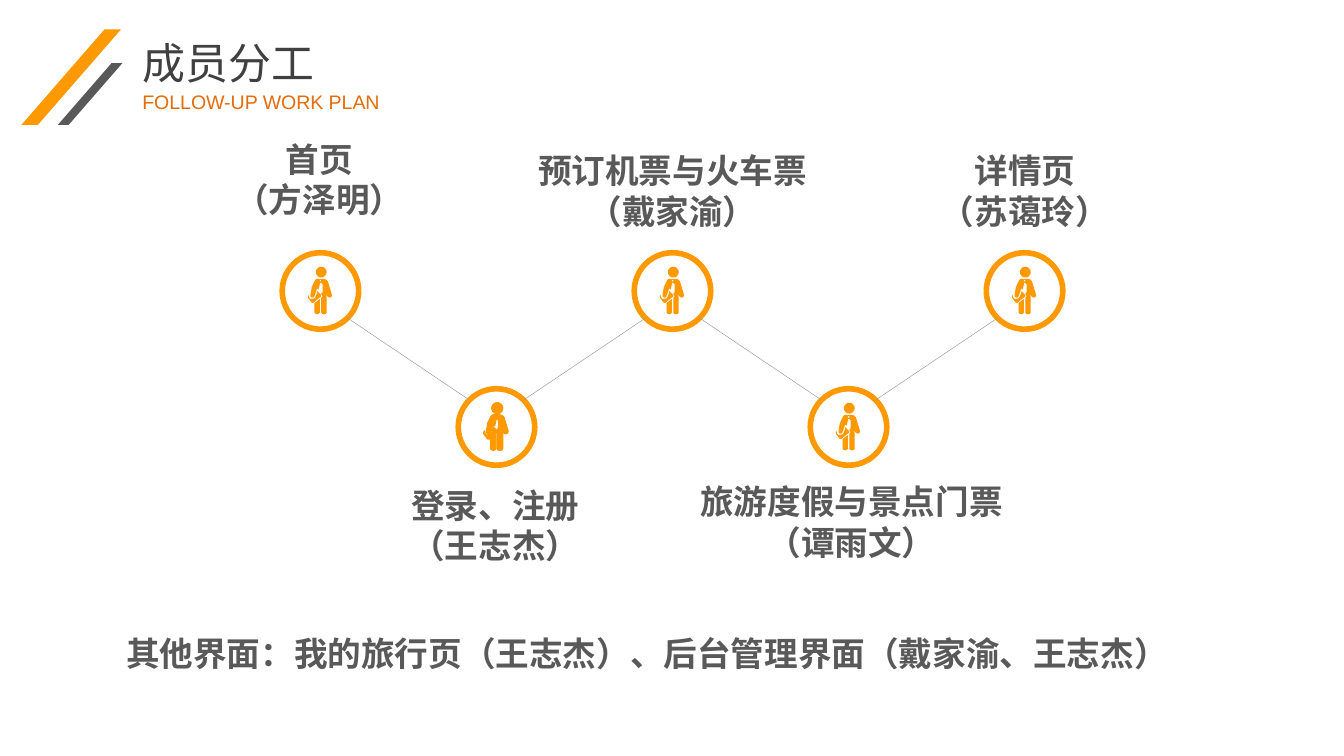
"""Build the team assignment slide with a zigzag of member icons."""
from math import cos, pi, sin

from lxml.etree import SubElement
from pptx import Presentation
from pptx.dml.color import RGBColor
from pptx.enum.shapes import MSO_CONNECTOR, MSO_SHAPE
from pptx.enum.text import MSO_ANCHOR, MSO_AUTO_SIZE, PP_ALIGN
from pptx.oxml.ns import qn
from pptx.util import Pt

COLORS = {"orange": "FF9900", "subtitle": "E46C0A", "title": "404040",
          "gray": "595959", "line": "999999", "white": "FFFFFF"}
TITLE, SUBTITLE = "成员分工", "FOLLOW-UP WORK PLAN"
HEADING_FONT, LABEL_FONT = "Arial", "TeX Gyre Adventor"
STRIPES = [((11.5, 15.8, 53.3, 51.1), "orange"), ((31, 33.8, 34.6, 33.1), "gray")]
MEMBERS = [
    (["首页", "（方泽明）"], (108, 70.6, 126, 51)),
    (["登录、注册", "（王志杰）"], (202.3, 256.3, 126, 51)),
    (["预订机票与火车票", "（戴家渝）"], (274.3, 77, 172, 51)),
    (["旅游度假与景点门票（谭雨文）"], (367.2, 254.2, 178, 51)),
    (["详情页", "（苏蔼玲）"], (486, 77, 126, 51)),
]
OTHER_PAGES = ["其他界面：我的旅行页（王志杰）、后台管理界面（戴家渝、王志杰）"]
OUTLINED_MEMBER = 1

FIRST_X, STEP_X, ROWS_Y = 171.7, 94.3, (155.9, 228.8)
RADIUS = 20.5
ICON_UNIT, ICON_DETAIL = 0.72, 10
LEG = [(9, 24), (9, 34), (8.5, 34.8), (7, 35.4), (5.5, 34.8), (5, 34), (5, 27)]
BAG = [(7, 18), (10, 21), (10, 22), (4, 27), (3, 27), (0, 23), (0, 22),
       (0.5, 21), (1, 23), (2, 24), (3, 24), (5, 23.5), (6, 22), (7, 19)]
KNOT = [(9, 10), (9, 11), (10, 11), (10, 10)]
BODY = [(7, 9), (12, 9), (14, 9.7), (15, 11), (18, 21), (17.7, 22.5), (16, 23),
        (14.5, 22), (14, 20), (14, 34), (13.5, 35), (12, 35.4), (10.5, 35),
        (10, 34), (10, 23), (11, 22), (10, 20), (11, 19), (11, 18), (11, 13),
        (10, 12), (9, 12), (9, 13), (8, 17), (7, 16), (5, 22), (4, 23),
        (3, 23), (2, 22), (2, 21), (3, 15), (5, 11), (5.7, 9.6)]
HEAD = [(10 + 4 * cos(pi * k / 12), 4 + 4 * sin(pi * k / 12)) for k in range(24)]
FIGURE = [LEG, BAG, KNOT, BODY, HEAD]


def color(name):
    return RGBColor.from_string(COLORS[name])


def place(shape, box):
    shape.left, shape.top, shape.width, shape.height = map(Pt, box)


def paint(shape, fill, line=None, weight=0):
    shape.shadow.inherit = False
    shape.fill.solid()
    shape.fill.fore_color.rgb = color(fill)
    if line:
        shape.line.color.rgb = color(line)
        shape.line.width = Pt(weight)
    else:
        shape.line.fill.background()


def write(shape, lines, font, size, ink, bold=False, align=PP_ALIGN.LEFT, wrap=True):
    frame = shape.text_frame
    frame.text = "\n".join(lines)
    frame.word_wrap = wrap
    frame.auto_size = MSO_AUTO_SIZE.NONE
    for para in frame.paragraphs:
        para.alignment = align
        for span in para.runs:
            span.font.name, span.font.size = font, Pt(size)
            span.font.bold, span.font.color.rgb = bold, color(ink)


def write_heading(shape, text, box, size, ink):
    place(shape, box)
    write(shape, [text], HEADING_FONT, size, ink)
    frame = shape.text_frame
    frame.vertical_anchor = MSO_ANCHOR.MIDDLE
    frame.margin_left = frame.margin_right = frame.margin_top = frame.margin_bottom = 0


def add_label(page, lines, box, **options):
    label = page.shapes.add_textbox(*map(Pt, box))
    write(label, lines, LABEL_FONT, 18, "gray", bold=True, **options)


def add_figure(page, x, y, outlined):
    contours = [[(px * ICON_DETAIL, py * ICON_DETAIL) for px, py in contour]
                for contour in FIGURE]
    builder = page.shapes.build_freeform(*contours[0][0], scale=Pt(ICON_UNIT) / ICON_DETAIL)
    for index, contour in enumerate(contours):
        if index:
            builder.move_to(*contour[0])
        builder.add_line_segments(contour[1:], close=True)
    figure = builder.convert_to_shape(Pt(x - 6.8), Pt(y - 13))
    paint(figure, "orange", "orange" if outlined else None, 0.75)


def add_member(page, x, y, outlined):
    box = (x - RADIUS, y - RADIUS, 2 * RADIUS, 2 * RADIUS)
    ring = page.shapes.add_shape(MSO_SHAPE.OVAL, *map(Pt, box))
    paint(ring, "white", "orange", 3)
    add_figure(page, x, y, outlined)


def add_link(page, start, end):
    reach = RADIUS * sin(pi / 4)
    drop = reach if end[1] > start[1] else -reach
    ends = (start[0] + reach, start[1] + drop, end[0] - reach, end[1] - drop)
    link = page.shapes.add_connector(MSO_CONNECTOR.STRAIGHT, *map(Pt, ends))
    link.line.color.rgb = color("line")
    link.line.width = Pt(0.25)
    SubElement(link._element.spPr, qn("a:effectLst"))


def main():
    deck = Presentation()
    deck.slide_width, deck.slide_height = Pt(720), Pt(405)
    page = deck.slides.add_slide(deck.slide_layouts[5])
    write_heading(page.shapes.title, TITLE, (76.3, 19.4, 221, 28.1), 23, "title")
    subtitle = page.shapes.add_textbox(0, 0, 0, 0)
    write_heading(subtitle, SUBTITLE, (76.3, 48.2, 203.8, 13), 10.5, "subtitle")
    for box, fill in STRIPES:
        stripe = page.shapes.add_shape(MSO_SHAPE.PARALLELOGRAM, *map(Pt, box))
        stripe.adjustments[0] = 0.87
        paint(stripe, fill)
    centers = [(FIRST_X + STEP_X * i, ROWS_Y[i % 2]) for i in range(len(MEMBERS))]
    for index, center in enumerate(centers):
        add_member(page, *center, outlined=index == OUTLINED_MEMBER)
    for start, end in zip(centers, centers[1:]):
        add_link(page, start, end)
    for lines, box in MEMBERS:
        add_label(page, lines, box, align=PP_ALIGN.CENTER)
    add_label(page, OTHER_PAGES, (60.5, 335.5, 582, 29), wrap=False)
    deck.save("out.pptx")


if __name__ == "__main__":
    main()
